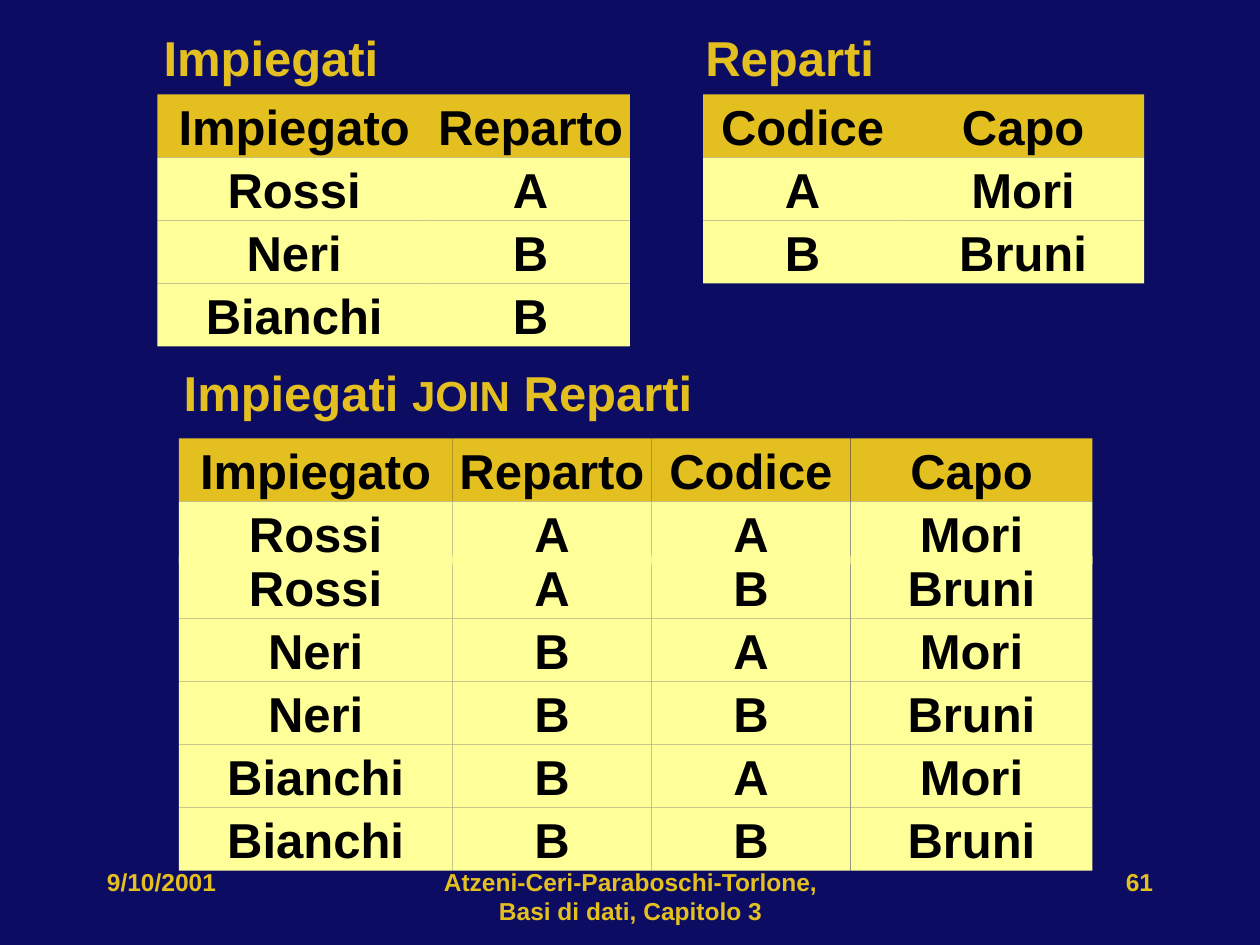
from dataclasses import dataclass
from itertools import accumulate

from pptx import Presentation
from pptx.dml.color import RGBColor as Rgb
from pptx.enum.shapes import MSO_SHAPE as Preset
from pptx.enum.text import MSO_ANCHOR as Anchor, PP_ALIGN as Align
from pptx.util import Inches, Pt

HUES = {"back": "0C0C62", "gold": "E4BF20", "cream": "FFFF99", "ink": "000000"}
FONT = "Arial"
ROW = 0.5
WIDTHS = {"Impiegato": 2.17, "Reparto": 1.58, "Codice": 1.58, "Capo": 1.92}


@dataclass
class Grid:
    left: float
    top: float
    heads: list[str]
    rows: list[list[str]]
    lap: float = 0  # how far the second body row rises over the first


@dataclass
class Label:
    left: float
    top: float
    width: float
    height: float
    runs: list[tuple[str, int]]
    align: Align = Align.LEFT


def add_run(para, text: str, size: int, hue: str) -> None:
    run = para.add_run()
    run.text = text
    font = run.font
    font.name, font.size, font.bold = FONT, Pt(size), True
    font.color.rgb = Rgb.from_string(HUES[hue])


def draw_label(slide, label: Label) -> None:
    box = slide.shapes.add_textbox(Inches(label.left), Inches(label.top),
                                   Inches(label.width), Inches(label.height))
    frame = box.text_frame
    frame.word_wrap = True
    para = frame.paragraphs[0]
    para.alignment = label.align
    for text, size in label.runs:
        add_run(para, text, size, "gold")


def draw_cell(slide, left: float, top: float, width: float,
              text: str, hue: str) -> None:
    cell = slide.shapes.add_shape(Preset.RECTANGLE, Inches(left), Inches(top),
                                  Inches(width), Inches(ROW))
    cell.shadow.inherit = False
    cell.line.fill.background()
    cell.fill.solid()
    cell.fill.fore_color.rgb = Rgb.from_string(HUES[hue])
    frame = cell.text_frame
    frame.word_wrap = False
    frame.vertical_anchor = Anchor.MIDDLE
    para = frame.paragraphs[0]
    para.alignment = Align.CENTER
    add_run(para, text, 28, "ink")


def draw_grid(slide, grid: Grid) -> None:
    """Draw separate cells, as the rows of a grid may overlap."""
    wide = [WIDTHS[head] for head in grid.heads]
    lefts = list(accumulate(wide, initial=grid.left))
    for i, line in enumerate([grid.heads, *grid.rows]):
        top = grid.top + i * ROW - (grid.lap if i > 1 else 0)
        for left, width, text in zip(lefts, wide, line):
            draw_cell(slide, left, top, width, text, "cream" if i else "gold")


STAFF = [["Rossi", "A"], ["Neri", "B"], ["Bianchi", "B"]]
UNITS = [["A", "Mori"], ["B", "Bruni"]]
PAIRS = [one + two for one in STAFF for two in UNITS]

GRIDS = [
    Grid(1.25, 0.75, ["Impiegato", "Reparto"], STAFF),
    Grid(5.58, 0.75, ["Codice", "Capo"], UNITS),
    Grid(1.42, 3.48, list(WIDTHS), PAIRS, 0.07),
]
LABELS = [
    Label(1.2, 0.17, 2.25, 0.57, [("Impiegati", 28)]),
    Label(5.5, 0.17, 2.25, 0.57, [("Reparti", 28)]),
    Label(1.36, 2.83, 5.3, 0.57,
          [("Impiegati ", 28), ("JOIN", 24), (" Reparti", 28)]),
    Label(3.42, 6.83, 3.17, 0.5,
          [("Atzeni-Ceri-Paraboschi-Torlone, Basi di dati, Capitolo 3", 14)],
          Align.CENTER),
    Label(7.17, 6.83, 2.08, 0.5, [("61", 14)], Align.RIGHT),
    Label(0.75, 6.83, 2.08, 0.5, [("9/10/2001", 14)]),
]


def main() -> None:
    deck = Presentation()
    deck.slide_width, deck.slide_height = Inches(10), Inches(7.5)
    slide = deck.slides.add_slide(deck.slide_layouts[6])
    back = slide.background.fill
    back.solid()
    back.fore_color.rgb = Rgb.from_string(HUES["back"])
    for grid in GRIDS:
        draw_grid(slide, grid)
    for label in LABELS:
        draw_label(slide, label)
    deck.save("out.pptx")


if __name__ == "__main__":
    main()
